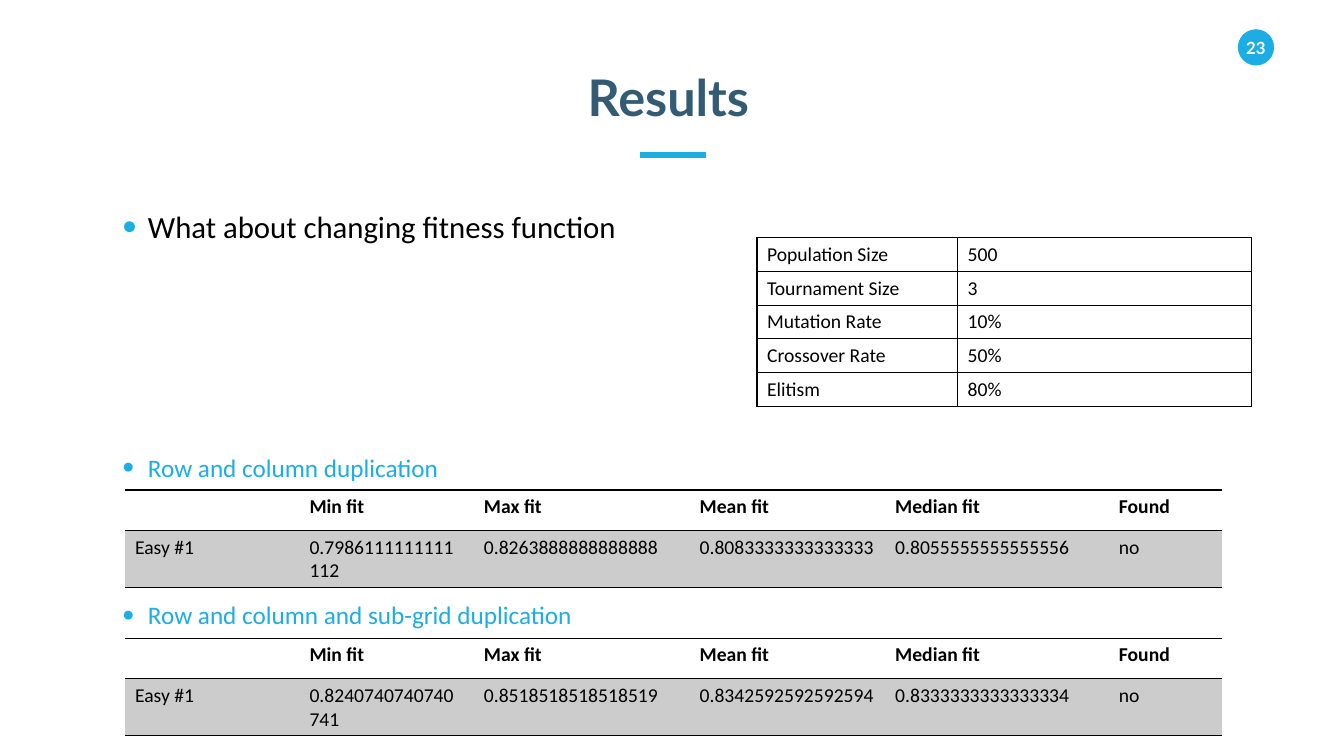
"""Build the results slide with its parameter table and two fitness tables."""
from lxml.etree import SubElement
from pptx import Presentation
from pptx.dml.color import RGBColor
from pptx.enum.shapes import MSO_CONNECTOR, MSO_SHAPE
from pptx.enum.text import MSO_ANCHOR, PP_ALIGN
from pptx.oxml.ns import qn
from pptx.util import Pt

BLUE = RGBColor(0x1C, 0xAD, 0xE4)
NAVY = RGBColor(0x33, 0x5B, 0x74)
BLACK = RGBColor(0, 0, 0)
WHITE = RGBColor(255, 255, 255)
GREY = RGBColor(0xCC, 0xCC, 0xCC)

TITLE = "Results"
PAGE_NUMBER = "23"
BULLETS = [
    ("What about changing fitness function", 131.8, 22, BLACK),
    ("Row and column duplication", 308.9, 18, BLUE),
    ("Row and column and sub-grid duplication", 414, 18, BLUE),
]
PARAMETERS = [
    ("Population Size", "500"),
    ("Tournament Size", "3"),
    ("Mutation Rate", "10%"),
    ("Crossover Rate", "50%"),
    ("Elitism", "80%"),
]
HEADER = ("", "Min fit", "Max fit", "Mean fit", "Median fit", "Found")
RESULTS = [
    (350, ("Easy #1", "0.7986111111111112", "0.8263888888888888",
           "0.8083333333333333", "0.8055555555555556", "no")),
    (455.8, ("Easy #1", "0.8240740740740741", "0.8518518518518519",
             "0.8342592592592594", "0.8333333333333334", "no")),
]
PARAMETER_WIDTHS = (143.3, 210.2)
RESULT_WIDTHS = (124.6, 124.6, 154.1, 139.7, 159.8, 80.6)
ALL_SIDES = ("lnL", "lnR", "lnT", "lnB")
RULED_SIDES = ("lnT", "lnB")


def format_paragraph(paragraph, text, size, font_name, color, bold=False):
    paragraph.text = text
    for run in paragraph.runs:
        run.font.size = Pt(size)
        run.font.name = font_name
        run.font.bold = bold
        run.font.color.rgb = color


def add_text_box(slide, left, top, width, height):
    shape = slide.shapes.add_textbox(Pt(left), Pt(top), Pt(width), Pt(height))
    shape.text_frame.word_wrap = True
    return shape.text_frame.paragraphs[0]


def add_bullet(slide, text, top, size, color):
    paragraph = add_text_box(slide, 80.6, top, 668.2, 49)
    format_paragraph(paragraph, text, size, "Calibri", color)
    paragraph.line_spacing = 1.5
    paragraph.space_before = Pt(10)
    properties = paragraph._p.get_or_add_pPr()
    properties.set("marL", str(Pt(18)))
    properties.set("indent", str(-Pt(18)))
    bullet_color = SubElement(properties, qn("a:buClr"))
    SubElement(bullet_color, qn("a:srgbClr"), val=str(BLUE))
    SubElement(properties, qn("a:buSzPct"), val="130000")
    SubElement(properties, qn("a:buFont"), typeface="Arial")
    SubElement(properties, qn("a:buChar"), char="•")


def set_borders(cell, sides):
    properties = cell._tc.get_or_add_tcPr()
    for side in ALL_SIDES:
        border = SubElement(properties, qn(f"a:{side}"), w=str(Pt(1)))
        if side in sides:
            fill = SubElement(border, qn("a:solidFill"))
            SubElement(fill, qn("a:srgbClr"), val=str(BLACK))
        else:
            SubElement(border, qn("a:noFill"))


def add_table(slide, rows, left, top, widths, heights, sides, has_header):
    frame = slide.shapes.add_table(
        len(rows), len(widths), Pt(left), Pt(top), Pt(sum(widths)), Pt(sum(heights)))
    table = frame.table
    table.first_row = has_header
    table.horz_banding = False
    for column, width in zip(table.columns, widths):
        column.width = Pt(width)
    for row_index, (values, height) in enumerate(zip(rows, heights)):
        table.rows[row_index].height = Pt(height)
        is_header = has_header and row_index == 0
        for column_index, value in enumerate(values):
            cell = table.cell(row_index, column_index)
            format_paragraph(cell.text_frame.paragraphs[0], value, 14,
                             "Calibri", BLACK, is_header)
            set_borders(cell, sides)
            if has_header and not is_header:
                cell.fill.solid()
                cell.fill.fore_color.rgb = GREY
            else:
                cell.fill.background()


def add_page_badge(slide):
    badge = slide.shapes.add_shape(MSO_SHAPE.OVAL, Pt(884.2), Pt(20.9), Pt(25.9), Pt(25.9))
    badge.shadow.inherit = False
    badge.fill.solid()
    badge.fill.fore_color.rgb = BLUE
    badge.line.fill.background()
    frame = badge.text_frame
    frame.margin_left = frame.margin_right = frame.margin_top = frame.margin_bottom = 0
    frame.word_wrap = False
    frame.vertical_anchor = MSO_ANCHOR.MIDDLE
    format_paragraph(frame.paragraphs[0], PAGE_NUMBER, 12, "Lato", WHITE, True)
    frame.paragraphs[0].alignment = PP_ALIGN.CENTER


def add_title(slide):
    paragraph = add_text_box(slide, 412.6, 43.9, 135.4, 51.1)
    format_paragraph(paragraph, TITLE, 36, "Lato", NAVY, True)
    underline = slide.shapes.add_connector(
        MSO_CONNECTOR.STRAIGHT, Pt(457.2), Pt(110.9), Pt(504), Pt(110.9))
    underline.line.color.rgb = BLUE
    underline.line.width = Pt(4.5)
    SubElement(underline._element.spPr, qn("a:effectLst"))


def main():
    presentation = Presentation()
    presentation.slide_width = Pt(960)
    presentation.slide_height = Pt(540)
    slide = presentation.slides.add_slide(presentation.slide_layouts[6])
    add_page_badge(slide)
    add_title(slide)
    for bullet in BULLETS:
        add_bullet(slide, *bullet)
    add_table(slide, PARAMETERS, 540.7, 169.9, PARAMETER_WIDTHS,
              [24] * len(PARAMETERS), ALL_SIDES, False)
    for top, values in RESULTS:
        add_table(slide, [HEADER, values], 89.3, top, RESULT_WIDTHS,
                  [24, 41], RULED_SIDES, True)
    presentation.save("out.pptx")


if __name__ == "__main__":
    main()
